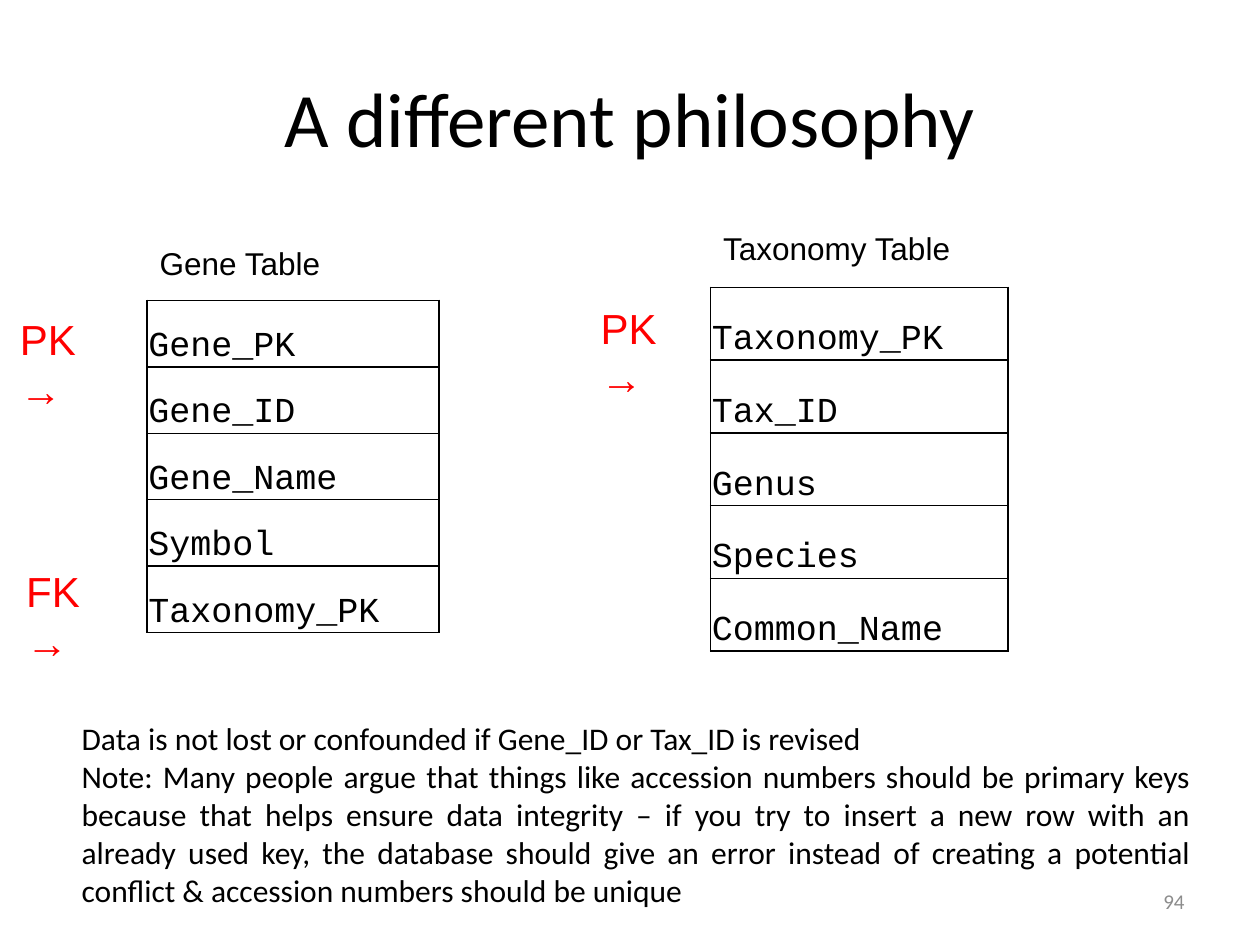
from lxml import etree
from pptx import Presentation
from pptx.dml.color import RGBColor
from pptx.enum.text import MSO_ANCHOR, PP_ALIGN
from pptx.oxml.ns import qn
from pptx.util import Pt

LEFT, CENTER, RIGHT, JUSTIFY = PP_ALIGN.LEFT, PP_ALIGN.CENTER, PP_ALIGN.RIGHT, PP_ALIGN.JUSTIFY
TOP, MIDDLE, BOTTOM = MSO_ANCHOR.TOP, MSO_ANCHOR.MIDDLE, MSO_ANCHOR.BOTTOM

BLACK = RGBColor(0x00, 0x00, 0x00)
RED = RGBColor(0xFF, 0x00, 0x00)
GRAY = RGBColor(0x8C, 0x8C, 0x8C)

# Content: positions are (left, top, width, height) in points
TITLE = "A different philosophy"
PAGE_NUMBER = "94"
KEY_LABELS = [
    ("PK→", (4.3, 175.7, 69.8, 36)),
    ("PK→", (336.2, 169.2, 69.8, 36)),
    ("FK→", (7.9, 319.7, 68.4, 36)),
]
TABLE_NAMES = [
    ("Gene Table", (84.2, 136.1, 107.3, 28.8)),
    ("Taxonomy Table", (406.1, 127.4, 145.4, 28.8)),
]
# Field names, left, top, width, row height
TABLES = [
    (["Gene_PK", "Gene_ID", "Gene_Name", "Symbol", "Taxonomy_PK"], 84, 171.6, 167, 38),
    (["Taxonomy_PK", "Tax_ID", "Genus", "Species", "Common_Name"], 406, 164.2, 170, 41.6),
]
NOTES = [
    ("Data is not lost or confounded if Gene_ID or Tax_ID is revised", LEFT),
    ("Note: Many people argue that things like accession numbers should be primary keys "
     "because that helps ensure data integrity – if you try to insert a new row with an "
     "already used key, the database should give an error instead of creating a potential "
     "conflict & accession numbers should be unique", JUSTIFY),
]


def style(para, font, size, color, align=LEFT):
    para.alignment = align
    para.font.name = font
    para.font.size = Pt(size)
    para.font.color.rgb = color


def add_text(page, lines, place, font, size, color=BLACK, anchor=TOP, wrap=True):
    """Add a text box holding one paragraph for each (text, alignment) pair."""
    frame = page.shapes.add_textbox(*map(Pt, place)).text_frame
    frame.word_wrap = wrap
    frame.vertical_anchor = anchor
    for i, (text, align) in enumerate(lines):
        para = frame.paragraphs[0] if i == 0 else frame.add_paragraph()
        para.text = text
        style(para, font, size, color, align)


def add_borders(cell):
    props = cell._tc.get_or_add_tcPr()
    for i, side in enumerate(("a:lnL", "a:lnR", "a:lnT", "a:lnB")):
        line = etree.Element(qn(side), w=str(Pt(1)))
        fill = etree.SubElement(line, qn("a:solidFill"))
        etree.SubElement(fill, qn("a:srgbClr"), val=str(BLACK))
        props.insert(i, line)


def add_field_table(page, fields, left, top, width, row_height):
    height = row_height * len(fields)
    table = page.shapes.add_table(
        len(fields), 1, Pt(left), Pt(top), Pt(width), Pt(height)).table
    table.first_row = table.horz_banding = False
    for row, field in zip(table.rows, fields):
        row.height = Pt(row_height)
        cell = row.cells[0]
        cell.text = field
        cell.vertical_anchor = BOTTOM
        cell.margin_left = cell.margin_right = cell.margin_top = Pt(0.75)
        cell.margin_bottom = 0
        cell.fill.background()
        style(cell.text_frame.paragraphs[0], "Courier New", 20, BLACK)
        add_borders(cell)


def main():
    deck = Presentation()
    deck.slide_width, deck.slide_height = Pt(720), Pt(540)
    page = deck.slides.add_slide(deck.slide_layouts[6])

    # Title
    add_text(page, [(TITLE, CENTER)], (36, 21.6, 648, 90), "Calibri", 44, anchor=MIDDLE)

    # Key markers and table names
    for text, place in KEY_LABELS:
        add_text(page, [(text, LEFT)], place, "Arial", 24, RED)
    for text, place in TABLE_NAMES:
        add_text(page, [(text, LEFT)], place, "Arial", 18, wrap=False)

    # Field tables
    for table in TABLES:
        add_field_table(page, *table)

    # Notes and page number
    add_text(page, NOTES, (39.6, 407.5, 648, 138.2), "Calibri", 18)
    add_text(page, [(PAGE_NUMBER, RIGHT)], (516, 500.5, 168, 28.8), "Calibri", 12,
             GRAY, MIDDLE)

    deck.save("out.pptx")


if __name__ == "__main__":
    main()
